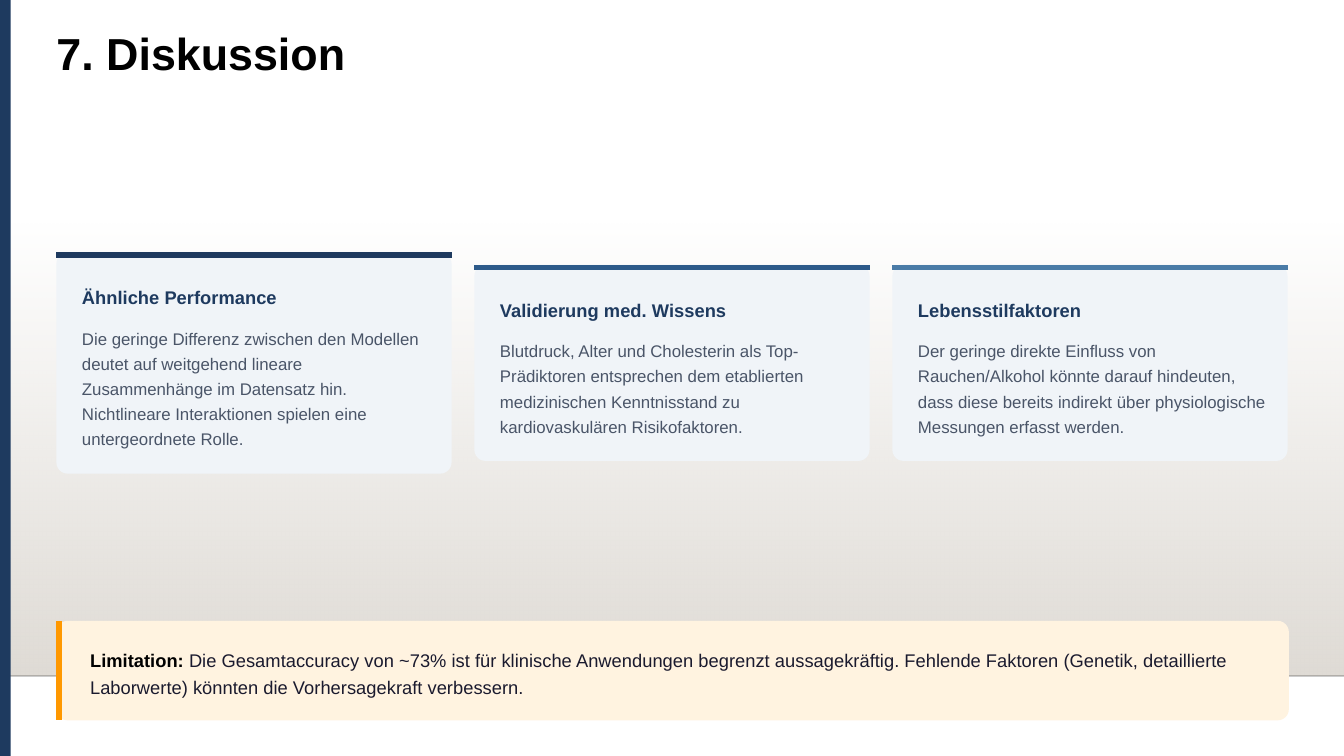
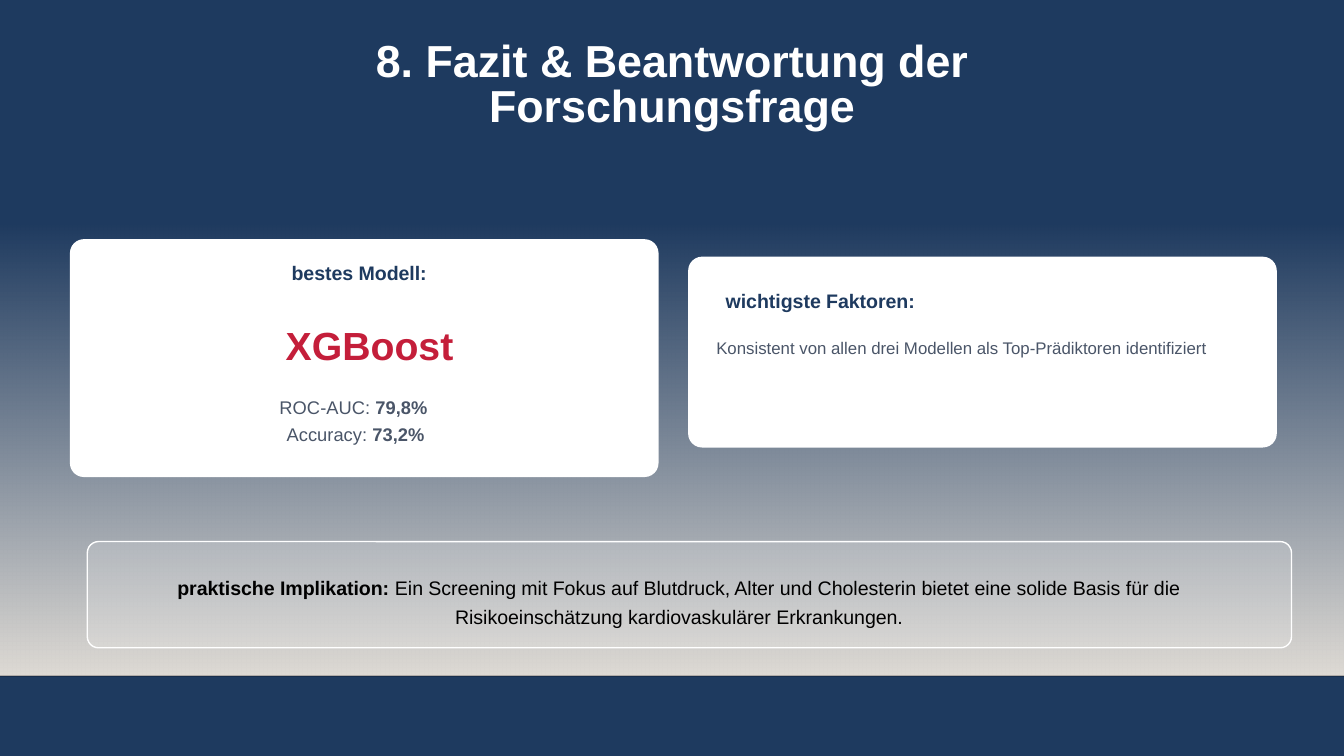
from lxml import etree
from pptx import Presentation
from pptx import util as u
from pptx.dml.color import RGBColor
from pptx.enum import shapes, text
from pptx.oxml import ns

NAVY = RGBColor(0x1E, 0x3A, 0x5F)
BLUE = RGBColor(0x2D, 0x5A, 0x8A)
STEEL = RGBColor(0x4A, 0x7B, 0xA7)
SLATE = RGBColor(0x4A, 0x55, 0x68)
INK = RGBColor(0x1A, 0x1A, 0x2E)
BLACK = RGBColor(0, 0, 0)
WHITE = RGBColor(0xFF, 0xFF, 0xFF)
SAND = RGBColor(0xDF, 0xDB, 0xD5)
MIST = RGBColor(0xF0, 0xF4, 0xF8)
CREAM = RGBColor(0xFF, 0xF3, 0xE0)
ORANGE = RGBColor(0xFF, 0x98, 0x00)
RED = RGBColor(0xC4, 0x1E, 0x3A)

WIDTH, HEIGHT = 10, 5.625
MARGIN = 0.42
LEFT, CENTER = text.PP_ALIGN.LEFT, text.PP_ALIGN.CENTER

TITLE = {"size": 24, "bold": True}
CARD_HEAD = {"size": 9.8, "bold": True, "color": NAVY}
CARD_BODY = {"size": 9, "color": SLATE}
PANEL_HEAD = {"size": 10.5, "bold": True, "color": NAVY}
MODEL = {"size": 21, "bold": True, "color": RED}
SCORE = {"size": 9.8, "color": SLATE}
SCORE_VALUE = {**SCORE, "bold": True}
LIMIT_BODY = {"size": 9.8, "color": INK}
LIMIT_HEAD = {"size": 9.8, "color": BLACK, "bold": True}
USE_BODY = {"size": 10.5, "color": BLACK}
USE_HEAD = {**USE_BODY, "bold": True}

DISCUSSION = "7. Diskussion"
CARDS = [
    ("Ähnliche Performance", NAVY, 5,
     "Die geringe Differenz zwischen den Modellen deutet auf weitgehend lineare "
     "Zusammenhänge im Datensatz hin. Nichtlineare Interaktionen spielen eine "
     "untergeordnete Rolle."),
    ("Validierung med. Wissens", BLUE, 4,
     "Blutdruck, Alter und Cholesterin als Top-Prädiktoren entsprechen dem etablierten "
     "medizinischen Kenntnisstand zu kardiovaskulären Risikofaktoren."),
    ("Lebensstilfaktoren", STEEL, 4,
     "Der geringe direkte Einfluss von Rauchen/Alkohol könnte darauf hindeuten, dass "
     "diese bereits indirekt über physiologische Messungen erfasst werden."),
]
LIMITATION = [
    ("Limitation: ", LIMIT_HEAD),
    ("Die Gesamtaccuracy von ~73% ist für klinische Anwendungen begrenzt aussagekräftig. "
     "Fehlende Faktoren (Genetik, detaillierte Laborwerte) könnten die Vorhersagekraft "
     "verbessern.", LIMIT_BODY),
]
CONCLUSION = "8. Fazit & Beantwortung der Forschungsfrage"
SCORES = [
    [("ROC-AUC: ", SCORE), ("79,8%", SCORE_VALUE)],
    [(" Accuracy: ", SCORE), ("73,2%", SCORE_VALUE)],
]
PANELS = [(0.52, 1.78, 4.38, 1.77), (5.12, 1.91, 4.38, 1.42)]
PANEL_TEXTS = [
    ((2.17, 1.91, 2, 0.2), [[("bestes Modell:", PANEL_HEAD)]], 14.7, LEFT),
    ((0.75, 2.33, 4, 0.41), [[("XGBoost", MODEL)]], 29.4, CENTER),
    ((0.52, 2.91, 4.22, 0.56), SCORES, 14.6, CENTER),
    ((5.4, 2.12, 2, 0.2), [[("wichtigste Faktoren:", PANEL_HEAD)]], 14.7, LEFT),
    ((5.33, 2.49, 4, 0.17),
     [[("Konsistent von allen drei Modellen als Top-Prädiktoren identifiziert", CARD_BODY)]],
     12.6, LEFT),
]
IMPLICATION = [
    ("praktische Implikation:", USE_HEAD),
    (" Ein Screening mit Fokus auf Blutdruck, Alter und Cholesterin bietet eine solide "
     "Basis für die Risikoeinschätzung kardiovaskulärer Erkrankungen.", USE_BODY),
]


def inches(lengths):
    return [u.Inches(length) for length in lengths]


def set_alpha(element, percent):
    color = element.find(".//" + ns.qn("a:srgbClr"))
    etree.SubElement(color, ns.qn("a:alpha"), val=str(percent * 1000))


def write(frame, paragraphs, leading, align=LEFT):
    frame.word_wrap = True
    frame.auto_size = text.MSO_AUTO_SIZE.NONE
    frame.vertical_anchor = text.MSO_ANCHOR.TOP
    for side in ("left", "top", "right", "bottom"):
        setattr(frame, f"margin_{side}", 0)
    for index, spans in enumerate(paragraphs):
        para = frame.add_paragraph() if index else frame.paragraphs[0]
        para.alignment, para.line_spacing = align, u.Pt(leading)
        para.space_before = para.space_after = u.Pt(0)
        for words, look in spans:
            span = para.add_run()
            span.text = words
            span.font.color.rgb = look["color"]
            values = {"name": "Arial", "size": u.Pt(look["size"]), "bold": look.get("bold", False)}
            for name, value in values.items():
                setattr(span.font, name, value)


def add_text(page, place, paragraphs, leading, align=LEFT):
    box = page.shapes.add_textbox(*inches(place))
    write(box.text_frame, paragraphs, leading, align)


def add_box(page, place, color, radius=0):
    kind = shapes.MSO_SHAPE.ROUNDED_RECTANGLE if radius else shapes.MSO_SHAPE.RECTANGLE
    box = page.shapes.add_shape(kind, *inches(place))
    box.shadow.inherit = False
    box.fill.solid()
    box.fill.fore_color.rgb = color
    box.line.fill.background()
    if radius:
        box.adjustments[0] = radius / 72 / place[3]
    return box


def add_line(page, ends, color, width):
    line = page.shapes.add_connector(shapes.MSO_CONNECTOR.STRAIGHT, *inches(ends))
    line.line.color.rgb, line.line.width = color, u.Pt(width)
    etree.SubElement(line.element.spPr, ns.qn("a:effectLst"))
    return line


def add_page(deck, background, title, place, color, align=LEFT):
    page = deck.slides.add_slide(deck.slide_layouts[5])
    page.background.fill.solid()
    page.background.fill.fore_color.rgb = background
    heading = page.shapes.title
    heading.left, heading.top, heading.width, heading.height = inches(place)
    write(heading.text_frame, [[(title, {**TITLE, "color": color})]], 24, align)
    return page


def furnish_master(deck, page):
    floor = 5.03
    glow = add_box(page, (0, 1.66, WIDTH, floor - 1.66), SAND)
    glow.fill.gradient()
    glow.fill.gradient_angle = 270
    for position, stop in enumerate(glow.fill.gradient_stops):
        stop.position, stop.color.rgb = position, SAND
    set_alpha(glow.element.spPr, 0)
    edge = add_line(page, (0, floor, WIDTH, floor), BLACK, 1)
    set_alpha(edge.element.spPr, 20)
    for index, part in enumerate((glow, edge)):
        deck.slide_master.shapes.element.insert(2 + index, part.element)


def add_cards(page):
    width, pitch, middle, leading = 2.94, 3.11, 2.7, 13.5
    for column, (head, color, lines, body) in enumerate(CARDS):
        body_height = lines * leading / 72
        height = body_height + 0.71
        left, top = MARGIN + column * pitch, middle - height / 2
        add_box(page, (left, top, width, height), MIST, 6)
        add_line(page, (left, top + 0.02, left + width, top + 0.02), color, 3)
        inner = left + 0.19
        add_text(page, (inner, top + 0.23, 2.62, 0.19), [[(head, CARD_HEAD)]], 13.7)
        add_text(page, (inner, top + 0.53, 2.62, body_height), [[(body, CARD_BODY)]], leading)


def add_limitation(page):
    top, height = 4.62, 0.74
    add_box(page, (MARGIN, top, 9.17, height), CREAM, 6)
    add_line(page, (0.44, top, 0.44, top + height), ORANGE, 3)
    add_text(page, (0.67, 4.79, 8.88, 0.41), [LIMITATION], 14.6)


def add_conclusion(page):
    for place in PANELS:
        add_box(page, place, WHITE, 7.5)
    for entry in PANEL_TEXTS:
        add_text(page, *entry)
    frame = add_box(page, (0.65, 4.03, 8.96, 0.79), WHITE, 6)
    set_alpha(frame.element.spPr, 15)
    frame.line.color.rgb, frame.line.width = WHITE, u.Pt(0.75)
    add_text(page, (0.75, 4.24, 8.61, 0.44), [IMPLICATION], 15.8, CENTER)


def main():
    deck = Presentation()
    deck.slide_width, deck.slide_height = inches((WIDTH, HEIGHT))
    page = add_page(deck, WHITE, DISCUSSION, (MARGIN, 0.26, 4.79, 0.33), BLACK)
    furnish_master(deck, page)
    add_box(page, (0, 0, 0.08, HEIGHT), NAVY)
    add_cards(page)
    add_limitation(page)
    page = add_page(deck, NAVY, CONCLUSION, (1.65, 0.31, 6.7, 0.33), WHITE, CENTER)
    add_conclusion(page)
    deck.save("out.pptx")


if __name__ == "__main__":
    main()
